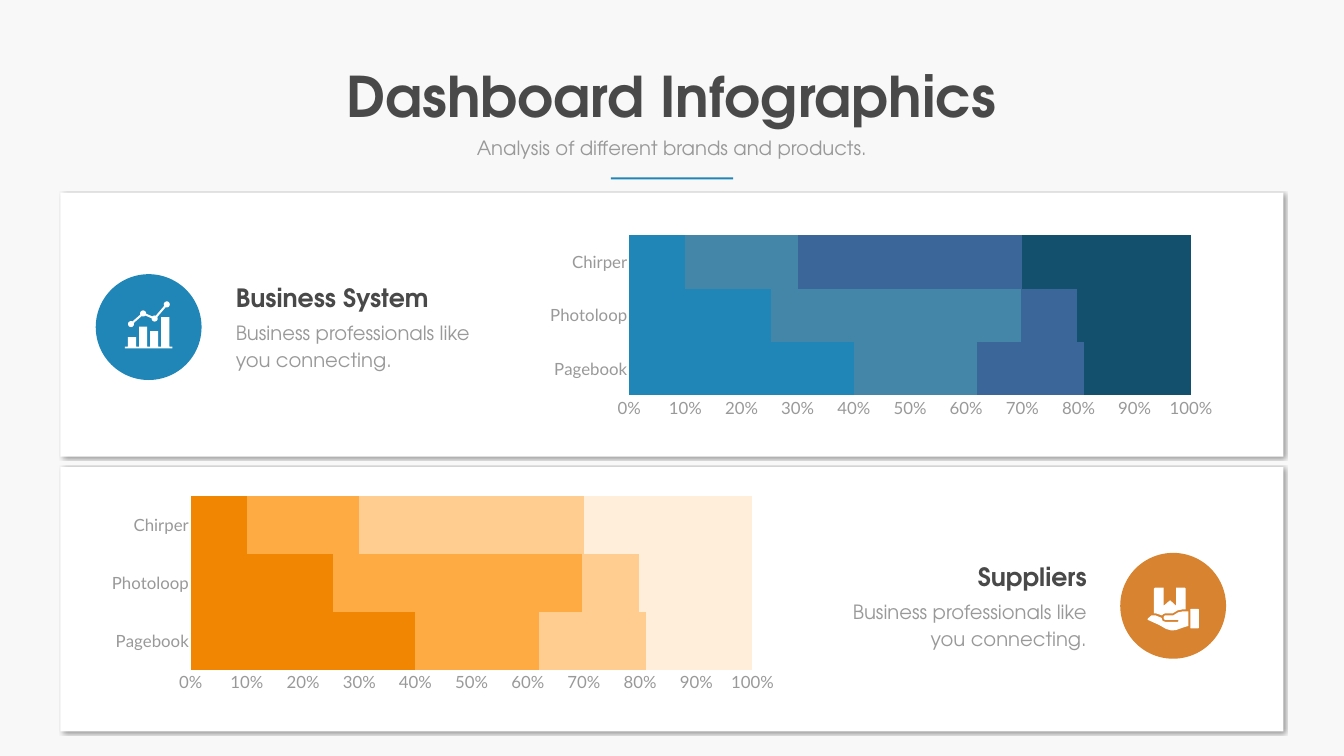
from math import asin, atan2, cos, pi, sin

from lxml.etree import SubElement
from pptx import Presentation
from pptx.chart.data import CategoryChartData
from pptx.dml.color import RGBColor
from pptx.enum.chart import XL_CHART_TYPE, XL_TICK_MARK
from pptx.enum.shapes import MSO_SHAPE
from pptx.enum.text import MSO_AUTO_SIZE, PP_ALIGN
from pptx.oxml import parse_xml
from pptx.oxml.ns import nsdecls, qn
from pptx.util import Inches, Pt

BACKGROUND = RGBColor(0xF8, 0xF8, 0xF8)
WHITE = RGBColor(0xFF, 0xFF, 0xFF)
DARK = RGBColor(0x49, 0x49, 0x49)
GRAY = RGBColor(0x99, 0x99, 0x99)
AXIS = RGBColor(0xF0, 0xF0, 0xF0)
BLUE = RGBColor(0x20, 0x86, 0xB7)
ORANGE = RGBColor(0xD7, 0x83, 0x30)
BLUES = [BLUE, RGBColor(0x44, 0x86, 0xA7), RGBColor(0x3A, 0x66, 0x99), RGBColor(0x13, 0x50, 0x6E)]
ORANGES = [RGBColor(0xF0, 0x86, 0x01), RGBColor(0xFE, 0xAB, 0x44),
           RGBColor(0xFE, 0xCD, 0x8F), RGBColor(0xFF, 0xEE, 0xDA)]

TITLE_FONT = {"name": "TeX Gyre Adventor", "size": Pt(80), "bold": True}
HEADING_FONT = {"name": "TeX Gyre Adventor", "size": Pt(36), "bold": True}
BODY_FONT = {"name": "TeX Gyre Adventor", "size": Pt(28)}
CHART_FONT = {"name": "Lato", "size": Pt(24)}

CATEGORIES = ["Pagebook", "Photoloop", "Chirper"]
SERIES = [[40, 25, 10], [22, 44, 20], [19, 10, 40], [19, 20, 30]]
BODY = "Business professionals like you connecting."

PANELS = [
    {"top": 3.82, "badge": (1.9, 5.44), "badge_color": BLUE, "heading": "Business System",
     "text": (4.58, 5.55), "align": PP_ALIGN.LEFT,
     "chart": (10.73, 4.6, 13.61, 3.75), "colors": BLUES},
    {"top": 9.27, "badge": (22.23, 10.97), "badge_color": ORANGE, "heading": "Suppliers",
     "text": (16.77, 11.08), "align": PP_ALIGN.RIGHT,
     "chart": (2.03, 9.76, 13.61, 4.08), "colors": ORANGES},
]

BAR_TOPS = [6.69, 6.48, 6.57, 6.29]
TREND_NODES = [(2.6, 6.43), (2.84, 6.22), (3.07, 6.32), (3.31, 6.04)]
PARCEL = [(22.92, 11.66), (23.09, 11.66), (23.09, 12.02), (23.22, 11.91), (23.34, 12.02),
          (23.34, 11.66), (23.51, 11.66), (23.53, 11.68), (23.53, 12.09), (23.47, 12.09),
          (23.37, 12.11), (23.27, 12.17), (23.13, 12.17), (23.09, 12.18), (23.06, 12.21),
          (22.94, 12.17), (22.9, 12.17), (22.9, 11.68)]
HAND = [(23.58, 12.13), (23.47, 12.13), (23.38, 12.15), (23.28, 12.21), (23.13, 12.21),
        (23.1, 12.22), (23.09, 12.26), (23.1, 12.29), (23.13, 12.3), (23.37, 12.3),
        (23.39, 12.32), (23.37, 12.34), (23.13, 12.34), (23.07, 12.32), (23.05, 12.26),
        (22.93, 12.21), (22.85, 12.21), (22.78, 12.27), (22.77, 12.29), (22.78, 12.3),
        (23, 12.4), (23.14, 12.48), (23.25, 12.51), (23.34, 12.5), (23.48, 12.45),
        (23.58, 12.42)]


def set_format(font, values, color):
    for name, value in values.items():
        setattr(font, name, value)
    font.color.rgb = color


def paint(shape, color):
    shape.shadow.inherit = False
    shape.fill.solid()
    shape.fill.fore_color.rgb = color
    shape.line.fill.background()
    return shape


def add_preset(shapes, kind, box, color):
    return paint(shapes.add_shape(kind, *map(Inches, box)), color)


def add_outline(shapes, points):
    corners = [(Inches(x), Inches(y)) for x, y in points]
    builder = shapes.build_freeform(*corners[0])
    builder.add_line_segments(corners[1:], close=True)
    paint(builder.convert_to_shape(), WHITE)


def add_text(shapes, text, box, values, color, align, spacing=None, wrap=True):
    text_box = shapes.add_textbox(*map(Inches, box))
    frame = text_box.text_frame
    frame.word_wrap = wrap
    frame.auto_size = MSO_AUTO_SIZE.SHAPE_TO_FIT_TEXT
    paragraph = frame.paragraphs[0]
    paragraph.alignment = align
    paragraph.line_spacing = spacing
    run = paragraph.add_run()
    run.text = text
    set_format(run.font, values, color)


def add_panel_shadow(shape):
    effects = shape._element.spPr.find(qn("a:effectLst"))
    effects.append(parse_xml(
        f'<a:outerShdw {nsdecls("a")} blurRad="{Pt(4)}" dist="{Pt(3)}" dir="2700000" algn="tl" '
        'rotWithShape="0"><a:srgbClr val="000000"><a:alpha val="40000"/></a:srgbClr></a:outerShdw>'))


def bar_outline():
    points = [(2.48, 6.91), (2.48, 6.88)]
    for index, top in enumerate(BAR_TOPS):
        left = 2.54 + 0.22 * index
        right = left + 0.16
        points += [(left, 6.88), (left, top), (right, top), (right, 6.88)]
    return points + [(3.42, 6.88), (3.42, 6.91)]


def trend_outline(radius=0.06, half_width=0.02, steps=12):
    """Walk clockwise round the linked dots: out along the top, back along the bottom."""
    route = TREND_NODES + TREND_NODES[-2:0:-1]
    gap = asin(half_width / radius)
    points = []
    for index, (x, y) in enumerate(route):
        before, after = route[index - 1], route[(index + 1) % len(route)]
        start = atan2(before[1] - y, before[0] - x)
        end = atan2(after[1] - y, after[0] - x)
        sweep = ((end - start) % (2 * pi) or 2 * pi) - 2 * gap
        for step in range(steps + 1):
            angle = start + gap + sweep * step / steps
            points.append((x + radius * cos(angle), y + radius * sin(angle)))
    return points


def add_share_chart(shapes, box, colors):
    data = CategoryChartData()
    data.categories = CATEGORIES
    for number, values in enumerate(SERIES, 1):
        data.add_series(f"Series {number}", values)
    chart = shapes.add_chart(XL_CHART_TYPE.BAR_STACKED_100, *map(Inches, box), data).chart
    chart.has_legend = False
    chart.has_title = False
    set_format(chart.font, CHART_FONT, GRAY)
    plot = chart.plots[0]
    plot.vary_by_categories = False
    plot.gap_width = 0
    plot.overlap = 100
    for series, color in zip(plot.series, colors):
        series.format.fill.solid()
        series.format.fill.fore_color.rgb = color
    for axis in (chart.category_axis, chart.value_axis):
        axis.major_tick_mark = axis.minor_tick_mark = XL_TICK_MARK.NONE
        axis.has_major_gridlines = False
        set_format(axis.tick_labels.font, CHART_FONT, GRAY)
    chart.category_axis.format.line.color.rgb = AXIS
    chart.category_axis.format.line.width = Pt(0.75)
    value_axis = chart.value_axis
    value_axis.format.line.fill.background()
    value_axis.maximum_scale = 1
    value_axis.major_unit = 0.1
    value_axis.tick_labels.number_format = "0%"
    value_axis.tick_labels.number_format_is_linked = False
    plot_area = chart._chartSpace.chart.plotArea
    for old_layout in plot_area.findall(qn("c:layout")):
        plot_area.remove(old_layout)
    layout = parse_xml(f'<c:layout {nsdecls("c")}><c:manualLayout/></c:layout>')
    plot_area.insert(0, layout)
    for tag, value in {"layoutTarget": "inner", "xMode": "edge", "yMode": "edge",
                       "x": 0.129, "y": 0.018, "w": 0.819, "h": 0.847}.items():
        SubElement(layout[0], qn(f"c:{tag}")).set("val", str(value))


def main():
    presentation = Presentation()
    presentation.slide_width, presentation.slide_height = Inches(26.67), Inches(15)
    slide = presentation.slides.add_slide(presentation.slide_layouts[6])
    slide.background.fill.solid()
    slide.background.fill.fore_color.rgb = BACKGROUND
    shapes = slide.shapes

    for panel in PANELS:
        add_panel_shadow(add_preset(shapes, MSO_SHAPE.RECTANGLE,
                                    (1.2, panel["top"], 24.27, 5.24), WHITE))
    badges = []
    for panel in PANELS:
        badge = shapes.add_group_shape().shapes
        add_preset(badge, MSO_SHAPE.OVAL, (*panel["badge"], 2.1, 2.1), panel["badge_color"])
        badges.append(badge)
        left, top = panel["text"]
        label = shapes.add_group_shape().shapes
        add_text(label, BODY, (left, top + 0.7, 4.89, 1.18), BODY_FONT, GRAY,
                 panel["align"], Pt(38.6))
        add_text(label, panel["heading"], (left, top, 4.89, 0.71), HEADING_FONT, DARK,
                 panel["align"])
        add_share_chart(shapes, panel["chart"], panel["colors"])

    growth_badge, supply_badge = badges
    add_outline(growth_badge, bar_outline())
    add_outline(growth_badge, trend_outline())
    cuff = add_preset(supply_badge, MSO_SHAPE.ROUNDED_RECTANGLE, (23.62, 12.08, 0.17, 0.39), WHITE)
    cuff.adjustments[0] = 0.12
    add_outline(supply_badge, PARCEL)
    add_outline(supply_badge, HAND)

    add_text(shapes, "Dashboard Infographics", (6.69, 1.17, 13.27, 1.45), TITLE_FONT, DARK,
             PP_ALIGN.CENTER, wrap=False)
    add_text(shapes, "Analysis of different brands and products.", (8.55, 2.65, 9.56, 0.57),
             BODY_FONT, GRAY, PP_ALIGN.CENTER)
    add_preset(shapes, MSO_SHAPE.RECTANGLE, (12.12, 3.52, 2.43, 0.04), BLUE)
    presentation.save("out.pptx")


if __name__ == "__main__":
    main()
